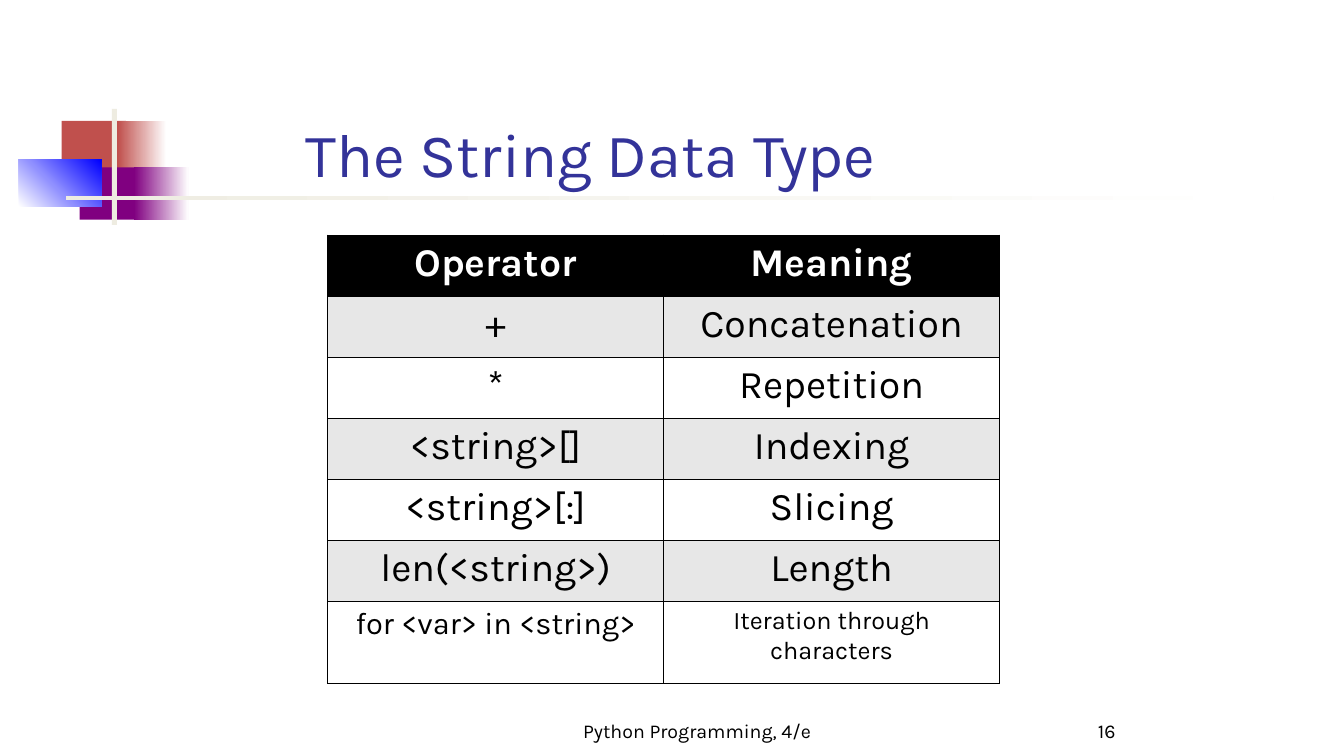
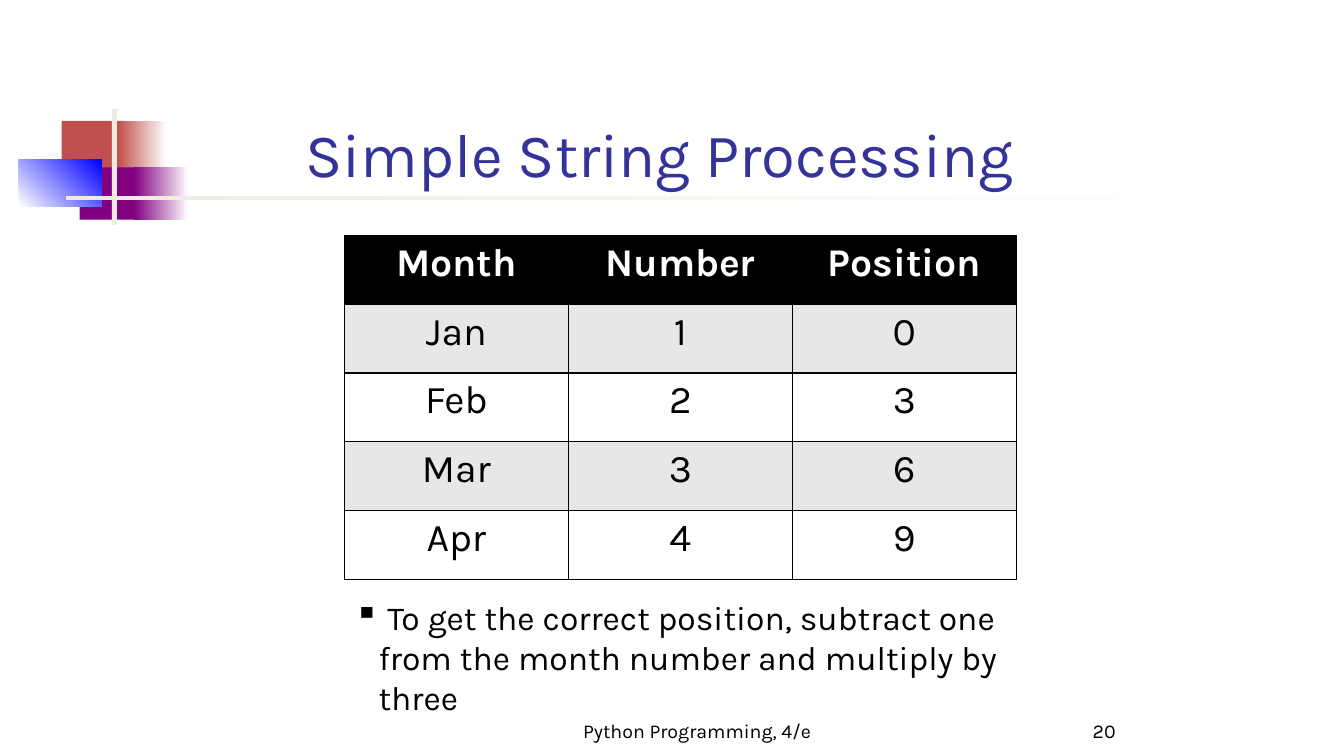
import pptx
import pptx.dml.color
import pptx.enum.shapes
import pptx.enum.text
import pptx.oxml
import pptx.oxml.ns
import pptx.util

Pt = pptx.util.Pt
ALIGN = pptx.enum.text.PP_ALIGN
ANCHOR = pptx.enum.text.MSO_ANCHOR


def color(hex_value):
    return pptx.dml.color.RGBColor.from_string(hex_value)


class Deck:
    """Holds the shared style and the current slide."""

    FONT = "Karla"
    TEXT, PAPER, TITLE, BAND = "000000", "FFFFFF", "333399", "E7E7E7"
    RED, PURPLE, BLUE, RULE = "C0504D", "800080", "0000FF", "EEECE1"
    FOOTER = "Python Programming, 4/e"
    BORDER_WIDTH = 0.96

    def __init__(self):
        self.presentation = pptx.Presentation()
        self.presentation.slide_width = Pt(960)
        self.presentation.slide_height = Pt(540)
        self.slide = None

    def start_slide(self, title, number):
        blank = self.presentation.slide_layouts[6]
        self.slide = self.presentation.slides.add_slide(blank)
        self.ornament()
        self.text(self.FOOTER, 384, 498, 228, 36, 14, align=ALIGN.CENTER)
        self.text(str(number), 654, 498, 150, 36, 14, align=ALIGN.RIGHT)
        self.text(title, 211, 49, 613.5, 90, 44, self.TITLE)

    def ornament(self):
        # Coloured blocks, each fading to the right or towards the corner
        self.block(44, 86.4, 46, 37.4, self.RED)
        self.block(84.2, 86.4, 34.6, 37.4, self.RED, self.PAPER)
        self.block(56.9, 119.5, 44, 37.4, self.PURPLE)
        self.block(95.8, 119.5, 38.9, 37.4, self.PURPLE, self.PAPER)
        self.block(13.4, 113.8, 59, 33.8, self.PAPER, self.BLUE, angle=45)
        # Crossing rules
        self.block(79.9, 77.8, 3.6, 82.8, self.RULE)
        self.block(46.8, 140.2, 863, 2.5, self.RULE, self.PAPER)

    def block(self, left, top, width, height, start, end=None, angle=0):
        block = self.slide.shapes.add_shape(
            pptx.enum.shapes.MSO_SHAPE.RECTANGLE,
            Pt(left), Pt(top), Pt(width), Pt(height))
        block.shadow.inherit = False
        block.line.fill.background()
        if end is None:
            block.fill.solid()
            block.fill.fore_color.rgb = color(start)
            return
        block.fill.gradient()
        block.fill.gradient_angle = angle
        for stop, shade in zip(block.fill.gradient_stops, (start, end)):
            stop.color.rgb = color(shade)

    def style(self, paragraph, size, shade, align=ALIGN.LEFT, bold=False):
        paragraph.alignment = align
        font = paragraph.font
        font.name, font.size, font.bold = self.FONT, Pt(size), bold
        font.color.rgb = color(shade)

    def text(self, words, left, top, width, height, size, shade=TEXT,
             align=ALIGN.LEFT, anchor=ANCHOR.BOTTOM):
        box = self.slide.shapes.add_textbox(
            Pt(left), Pt(top), Pt(width), Pt(height))
        frame = box.text_frame
        frame.word_wrap = True
        frame.vertical_anchor = anchor
        paragraph = frame.paragraphs[0]
        paragraph.text = words
        self.style(paragraph, size, shade, align)
        return paragraph

    def bullet(self, words, left, top, width, height, size, indent=17.3):
        paragraph = self.text(words, left, top, width, height, size,
                              anchor=ANCHOR.TOP)
        properties = paragraph._p.get_or_add_pPr()
        properties.set("marL", str(Pt(indent)))
        properties.set("indent", str(-Pt(indent)))
        mark = pptx.oxml.parse_xml(
            f'<a:buChar {pptx.oxml.ns.nsdecls("a")} char="▪"/>')
        properties.insert_element_before(mark, "a:tabLst", "a:defRPr", "a:extLst")

    def table(self, rows, left, top, width, row_heights, size=28, sizes=None):
        """Draw rows under a black header; sizes maps (row, column) to a text size."""
        columns = len(rows[0])
        table = self.slide.shapes.add_table(
            len(rows), columns, Pt(left), Pt(top), Pt(width),
            Pt(sum(row_heights))).table
        table.first_row = table.horz_banding = False
        for column in table.columns:
            column.width = Pt(width / columns)
        for r, (words, height) in enumerate(zip(rows, row_heights)):
            table.rows[r].height = Pt(height)
            header = r == 0
            fill = self.TEXT if header else self.BAND if r % 2 else self.PAPER
            for c, word in enumerate(words):
                cell = table.cell(r, c)
                cell.text = word
                self.style(cell.text_frame.paragraphs[0],
                           (sizes or {}).get((r, c), size),
                           self.PAPER if header else self.TEXT,
                           ALIGN.CENTER, header)
                cell.fill.solid()
                cell.fill.fore_color.rgb = color(fill)
                self.cell_borders(cell)

    def cell_borders(self, cell):
        properties = cell._tc.get_or_add_tcPr()
        for place, side in enumerate("LRTB"):
            properties.insert(place, pptx.oxml.parse_xml(
                f'<a:ln{side} {pptx.oxml.ns.nsdecls("a")} w="{Pt(self.BORDER_WIDTH)}">'
                f'<a:solidFill><a:srgbClr val="{self.TEXT}"/></a:solidFill>'
                f'</a:ln{side}>'))


def main():
    deck = Deck()

    # String operators
    operators = [
        ("Operator", "Meaning"),
        ("+", "Concatenation"),
        ("*", "Repetition"),
        ("<string>[]", "Indexing"),
        ("<string>[:]", "Slicing"),
        ("len(<string>)", "Length"),
        ("for <var> in <string>", "Iteration through characters"),
    ]
    deck.start_slide("The String Data Type", 16)
    deck.table(operators, 234, 168, 480, [43.6] * 6 + [58.8],
               sizes={(6, 0): 22, (6, 1): 18})

    # Month positions: three letters per month name
    months = [("Month", "Number", "Position")]
    for number, month in enumerate(("Jan", "Feb", "Mar", "Apr"), start=1):
        months.append((month, str(number), str((number - 1) * 3)))
    deck.start_slide("Simple String Processing", 20)
    deck.table(months, 246, 168, 480, [49.2] * len(months))
    deck.bullet(" To get the correct position, subtract one from the month "
                "number and multiply by three", 246, 422.6, 492, 93.6, 24)

    deck.presentation.save("out.pptx")


if __name__ == "__main__":
    main()
